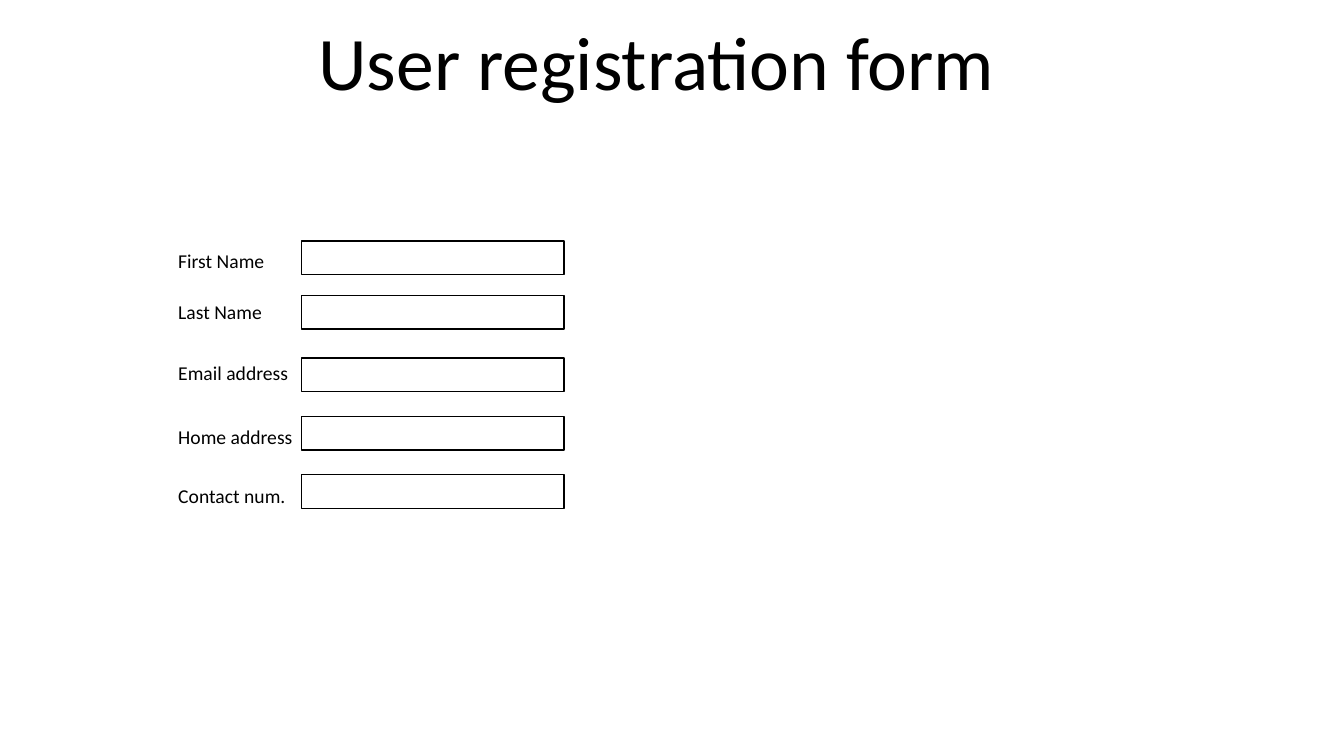
import pptx
import pptx.util
import pptx.dml.color
import pptx.enum.shapes
import pptx.enum.text

Pt = pptx.util.Pt

TITLE = "User registration form\v"
TITLE_BOX = (120.25, 88.5, 697.5, 63.5)
FIELDS = [
    ("First Name", 174.25, 172),
    ("Last Name", 211, 211),
    ("Email address", 254.25, 255.6),
    ("Home address", 300.25, 297.4),
    ("Contact num.", 342, 339.1),
]
LABEL_LEFT, LABEL_WIDTH, LABEL_HEIGHT = 120.25, 132.5, 24.25
INPUT_LEFT, INPUT_WIDTH, INPUT_HEIGHT = 215.3, 187.5, 24
BLACK, WHITE = "000000", "FFFFFF"
TITLE_FRAME = {
    "word_wrap": True,
    "auto_size": pptx.enum.text.MSO_AUTO_SIZE.NONE,
    "vertical_anchor": pptx.enum.text.MSO_ANCHOR.BOTTOM,
    "margin_left": Pt(7.2),
    "margin_right": Pt(7.2),
    "margin_top": Pt(3.6),
    "margin_bottom": Pt(3.6),
}
LABEL_FRAME = {
    "word_wrap": True,
    "auto_size": pptx.enum.text.MSO_AUTO_SIZE.SHAPE_TO_FIT_TEXT,
}
TITLE_PARAGRAPH = {
    "alignment": pptx.enum.text.PP_ALIGN.CENTER,
    "line_spacing": 0.9,
}


def color(value):
    return pptx.dml.color.RGBColor.from_string(value)


def apply(target, values):
    for name, value in values.items():
        setattr(target, name, value)


def points(box):
    return [Pt(length) for length in box]


def format_runs(paragraph, size):
    for run in paragraph.runs:
        apply(run.font, {"name": "Calibri", "size": Pt(size)})
        run.font.color.rgb = color(BLACK)


def add_title(slide):
    title = slide.shapes.title
    apply(title, dict(zip(("left", "top", "width", "height"), points(TITLE_BOX))))
    apply(title.text_frame, TITLE_FRAME)
    paragraph = title.text_frame.paragraphs[0]
    paragraph.text = TITLE
    apply(paragraph, TITLE_PARAGRAPH)
    format_runs(paragraph, 54)
    end_format = paragraph._p.get_or_add_endParaRPr()
    end_format.set("sz", "6000")


def add_label(slide, text, top):
    box = (LABEL_LEFT, top, LABEL_WIDTH, LABEL_HEIGHT)
    label = slide.shapes.add_textbox(*points(box))
    apply(label.text_frame, LABEL_FRAME)
    paragraph = label.text_frame.paragraphs[0]
    paragraph.text = text
    format_runs(paragraph, 14)


def add_input(slide, top):
    box = (INPUT_LEFT, top, INPUT_WIDTH, INPUT_HEIGHT)
    rectangle = pptx.enum.shapes.MSO_SHAPE.RECTANGLE
    field = slide.shapes.add_shape(rectangle, *points(box))
    field.shadow.inherit = False
    field.fill.solid()
    field.fill.fore_color.rgb = color(WHITE)
    field.line.color.rgb = color(BLACK)
    field.line.width = Pt(1)


def main():
    presentation = pptx.Presentation()
    apply(presentation, {"slide_width": Pt(960), "slide_height": Pt(540)})
    slide = presentation.slides.add_slide(presentation.slide_layouts[5])
    add_title(slide)
    for text, label_top, input_top in FIELDS:
        add_label(slide, text, label_top)
        add_input(slide, input_top)
    presentation.save("out.pptx")


if __name__ == "__main__":
    main()
